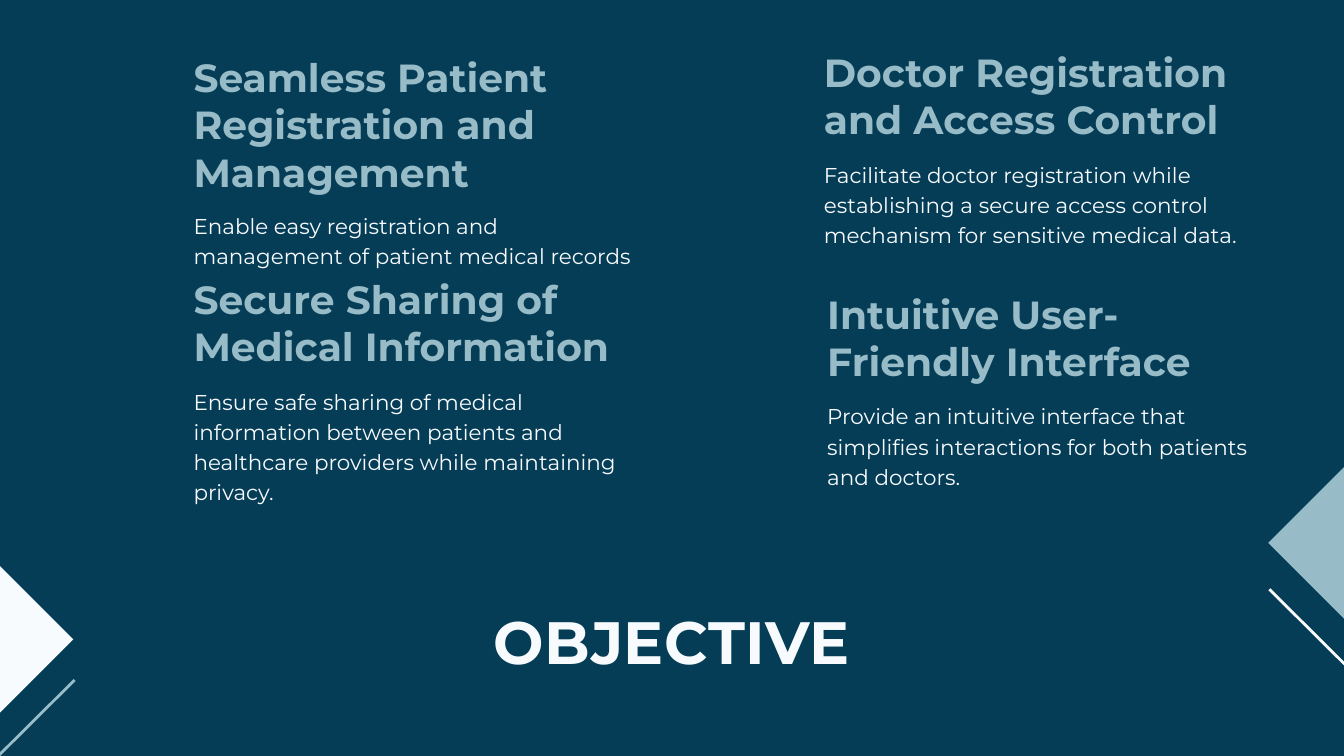
from lxml.etree import SubElement
from pptx import Presentation
from pptx.dml.color import RGBColor
from pptx.enum.shapes import MSO_CONNECTOR, MSO_SHAPE
from pptx.enum.text import MSO_AUTO_SIZE, PP_ALIGN
from pptx.oxml.ns import qn
from pptx.util import Emu, Pt

PX = 9144  # 100 px to the inch
WIDTH, HEIGHT = 2000, 1125
NAVY, MIST, WHITE = "053D57", "97BCC7", "F8FBFD"
FONT = "Montserrat"

TEXT_WIDTH = 656
HEADING_LINE, BODY_LINE, GAP = 69, 43, 24

# left, top, heading, heading lines, body, body lines
OBJECTIVES = [
    (288, 80, "Seamless Patient Registration and Management", 3,
     "Enable easy registration and management of patient medical records", 2),
    (1226, 72, "Doctor Registration and Access Control", 2,
     "Facilitate doctor registration while establishing a secure access "
     "control mechanism for sensitive medical data.", 3),
    (1231, 432, "Intuitive User-Friendly Interface", 2,
     "Provide an intuitive interface that simplifies interactions for both "
     "patients and doctors.", 3),
    (288, 410, "Secure Sharing of Medical Information", 2,
     "Ensure safe sharing of medical information between patients and "
     "healthcare providers while maintaining privacy.", 4),
]


def px(*lengths):
    return [Emu(n * PX) for n in lengths]


def color(hex_string):
    return RGBColor.from_string(hex_string)


def add_text(shapes, box, text, size, leading, hex_color, bold=False):
    """Add a text box without insets and return its paragraph."""
    tf = shapes.add_textbox(*px(*box)).text_frame
    tf.margin_left = tf.margin_right = tf.margin_top = tf.margin_bottom = 0
    tf.word_wrap = True
    tf.auto_size = MSO_AUTO_SIZE.SHAPE_TO_FIT_TEXT
    p = tf.paragraphs[0]
    p.text = text
    p.line_spacing = Pt(leading)
    p.font.name = FONT
    p.font.size = Pt(size)
    p.font.bold = bold
    p.font.color.rgb = color(hex_color)
    return p


def add_diamond(s, box, hex_color):
    sp = s.shapes.add_shape(MSO_SHAPE.RECTANGLE, *px(*box))
    sp.rotation = 315
    sp.shadow.inherit = False
    sp.fill.solid()
    sp.fill.fore_color.rgb = color(hex_color)
    sp.line.fill.background()


def add_line(s, ends, hex_color):
    line = s.shapes.add_connector(MSO_CONNECTOR.STRAIGHT, *px(*ends))
    line.line.color.rgb = color(hex_color)
    line.line.width = Pt(3)
    SubElement(line._element.spPr, qn("a:effectLst"))


def add_title(s, box, text):
    p = add_text(s.shapes, box, text, 64, 76.8, WHITE, bold=True)
    p.alignment = PP_ALIGN.CENTER
    p.runs[0]._r.get_or_add_rPr().set("spc", "60")


def add_objective(s, left, top, heading, heading_lines, body, body_lines):
    """Group a heading with the body text that follows below it."""
    shapes = s.shapes.add_group_shape().shapes
    heading_height = heading_lines * HEADING_LINE
    add_text(shapes, (left, top, TEXT_WIDTH, heading_height),
             heading, 42, 50.4, MIST, bold=True)
    add_text(shapes, (left, top + heading_height + GAP, TEXT_WIDTH, body_lines * BODY_LINE),
             body, 23, 32.2, WHITE)


def main():
    prs = Presentation()
    prs.slide_width, prs.slide_height = px(WIDTH, HEIGHT)
    s = prs.slides.add_slide(prs.slide_layouts[6])
    s.background.fill.solid()
    s.background.fill.fore_color.rgb = color(NAVY)

    add_diamond(s, (-266, 797, 311, 310), WHITE)
    add_diamond(s, (1942, 697, 213, 243), MIST)
    add_line(s, (111, 1012, -51, 1173), MIST)
    add_line(s, (1889, 877, 2051, 1038), WHITE)
    add_title(s, (219, 900, 1562, 105), "OBJECTIVE")
    for objective in OBJECTIVES:
        add_objective(s, *objective)

    prs.save("out.pptx")


if __name__ == "__main__":
    main()
